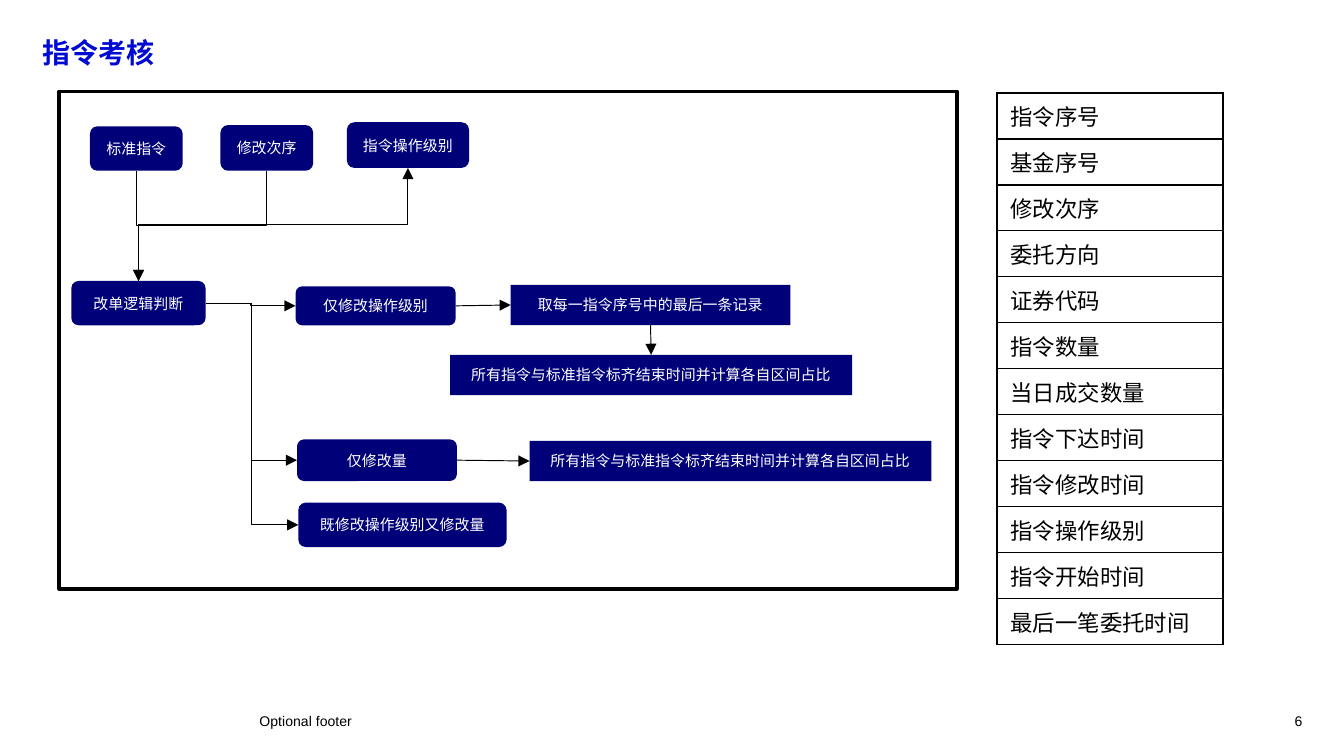
from lxml import etree
from pptx import Presentation
from pptx.dml.color import RGBColor
from pptx.enum.shapes import MSO_CONNECTOR, MSO_SHAPE
from pptx.enum.text import MSO_ANCHOR, MSO_AUTO_SIZE, PP_ALIGN
from pptx.oxml import parse_xml
from pptx.oxml.ns import nsdecls, qn
from pptx.util import Pt

WHITE = RGBColor(0xFF, 0xFF, 0xFF)
BLACK = RGBColor(0, 0, 0)
NAVY = RGBColor(0x00, 0x00, 0x78)
TITLE_BLUE = RGBColor(0x00, 0x0A, 0xD2)

FONT = "Arial"
RECTANGLE, ROUNDED = MSO_SHAPE.RECTANGLE, MSO_SHAPE.ROUNDED_RECTANGLE
STRAIGHT, ELBOW = MSO_CONNECTOR.STRAIGHT, MSO_CONNECTOR.ELBOW
LEFT, CENTER, RIGHT = PP_ALIGN.LEFT, PP_ALIGN.CENTER, PP_ALIGN.RIGHT
TOP, MIDDLE = MSO_ANCHOR.TOP, MSO_ANCHOR.MIDDLE
NO_AUTOFIT = MSO_AUTO_SIZE.NONE
TITLE_ONLY = 5
SIDE_TOP, SIDE_LEFT, SIDE_BOTTOM, SIDE_RIGHT = range(4)

ALIGN_TEXT = "所有指令与标准指令标齐结束时间并计算各自区间占比"
# name: (preset, text, left, top, width, height), relative to the frame
STEPS = {
    "sequence": (ROUNDED, "修改次序", 86.4, 18, 49.7, 24.5),
    "standard": (ROUNDED, "标准指令", 16.5, 18.7, 49.7, 23.8),
    "logic": (ROUNDED, "改单逻辑判断", 6.5, 101.5, 72, 23.8),
    "level": (ROUNDED, "指令操作级别", 154.1, 16.5, 65.5, 24.5),
    "level_only": (ROUNDED, "仅修改操作级别", 126.7, 104.4, 85.7, 20.9),
    "amount_only": (ROUNDED, "仅修改量", 127.4, 186.4, 85.7, 22.3),
    "both": (ROUNDED, "既修改操作级别又修改量", 128.1, 220.3, 111.6, 23.8),
    "last_record": (RECTANGLE, "取每一指令序号中的最后一条记录", 241.9, 103.6, 149.8, 21.6),
    "level_share": (RECTANGLE, ALIGN_TEXT, 209.5, 141.1, 215.3, 21.6),
    "amount_share": (RECTANGLE, ALIGN_TEXT, 252, 187.2, 215.3, 21.6),
}
VERTICAL_ELBOWS = [("standard", "logic"), ("sequence", "logic"), ("logic", "level")]
HORIZONTAL_ELBOWS = [("logic", "level_only"), ("logic", "amount_only"), ("logic", "both")]
STRAIGHT_ARROWS = [
    ("level_only", SIDE_RIGHT, "last_record", SIDE_LEFT),
    ("last_record", SIDE_BOTTOM, "level_share", SIDE_TOP),
    ("amount_only", SIDE_RIGHT, "amount_share", SIDE_LEFT),
]
FIELDS = ["指令序号", "基金序号", "修改次序", "委托方向", "证券代码", "指令数量",
          "当日成交数量", "指令下达时间", "指令修改时间", "指令操作级别",
          "指令开始时间", "最后一笔委托时间"]


def write_text(text_frame, text, size, color=BLACK, bold=False, align=LEFT,
               anchor=TOP, margin=None, line_spacing=None):
    text_frame.word_wrap = True
    text_frame.auto_size = NO_AUTOFIT
    text_frame.vertical_anchor = anchor
    if margin is not None:
        text_frame.margin_left = text_frame.margin_right = Pt(margin)
        text_frame.margin_top = text_frame.margin_bottom = Pt(margin)
    paragraph = text_frame.paragraphs[0]
    paragraph.alignment = align
    if line_spacing:
        paragraph.line_spacing = line_spacing
    run = paragraph.add_run()
    run.text = text
    run.font.name, run.font.size, run.font.bold = FONT, Pt(size), bold
    run.font.color.rgb = color


def add_box(slide, preset, left, top, width, height, fill):
    shape = slide.shapes.add_shape(preset, Pt(left), Pt(top), Pt(width), Pt(height))
    shape.shadow.inherit = False
    shape.fill.solid()
    shape.fill.fore_color.rgb = fill
    shape.line.fill.background()
    return shape


def add_arrow(slide, kind, begin, end):
    connector = slide.shapes.add_connector(kind, *map(int, begin + end))
    connector.line.color.rgb = BLACK
    connector.line.width = Pt(0.5)
    etree.SubElement(connector.line._get_or_add_ln(), qn("a:tailEnd"), type="triangle")
    etree.SubElement(connector._element.spPr, qn("a:effectLst"))
    return connector


def side_point(shape, side):
    middle_x = shape.left + shape.width / 2
    middle_y = shape.top + shape.height / 2
    return {SIDE_TOP: (middle_x, shape.top),
            SIDE_LEFT: (shape.left, middle_y),
            SIDE_BOTTOM: (middle_x, shape.top + shape.height),
            SIDE_RIGHT: (shape.left + shape.width, middle_y)}[side]


def add_vertical_elbow(slide, begin, end):
    """Lay the elbow on its side about its centre, then turn it a quarter."""
    center_x, center_y = (begin[0] + end[0]) / 2, (begin[1] + end[1]) / 2
    downward = end[1] > begin[1]
    half_length = abs(end[1] - begin[1]) / 2
    half_shift = (end[0] - begin[0]) / 2 * (-1 if downward else 1)
    connector = add_arrow(slide, ELBOW,
                          (center_x - half_length, center_y - half_shift),
                          (center_x + half_length, center_y + half_shift))
    connector._element.spPr.get_or_add_xfrm().rot = 90 if downward else 270


def add_flowchart(slide, left, top, width, height):
    frame = add_box(slide, RECTANGLE, left, top, width, height, WHITE)
    frame.line.color.rgb = BLACK
    frame.line.width = Pt(2)

    # Steps
    steps = {}
    for name, (preset, text, x, y, step_width, step_height) in STEPS.items():
        steps[name] = add_box(slide, preset, left + x, top + y,
                              step_width, step_height, NAVY)
        write_text(steps[name].text_frame, text, 8, color=WHITE,
                   align=CENTER, anchor=MIDDLE)

    # Arrows
    for source, target in VERTICAL_ELBOWS:
        downward = steps[target].top > steps[source].top
        sides = (SIDE_BOTTOM, SIDE_TOP) if downward else (SIDE_TOP, SIDE_BOTTOM)
        add_vertical_elbow(slide, side_point(steps[source], sides[0]),
                           side_point(steps[target], sides[1]))
    for source, target in HORIZONTAL_ELBOWS:
        add_arrow(slide, ELBOW, side_point(steps[source], SIDE_RIGHT),
                  side_point(steps[target], SIDE_LEFT))
    for source, source_side, target, target_side in STRAIGHT_ARROWS:
        connector = add_arrow(slide, STRAIGHT, side_point(steps[source], source_side),
                              side_point(steps[target], target_side))
        connector.begin_connect(steps[source], source_side)
        connector.end_connect(steps[target], target_side)


def set_borders(cell):
    properties = cell._tc.get_or_add_tcPr()
    for index, tag in enumerate(("lnL", "lnR", "lnT", "lnB")):
        properties.insert(index, parse_xml(
            f'<a:{tag} {nsdecls("a")} w="{Pt(1)}"><a:solidFill>'
            f'<a:srgbClr val="{BLACK}"/></a:solidFill></a:{tag}>'))


def add_field_table(slide, left, top, width, height):
    table = slide.shapes.add_table(len(FIELDS), 1, Pt(left), Pt(top),
                                   Pt(width), Pt(height)).table
    table.first_row = table.horz_banding = False
    for row, field in enumerate(FIELDS):
        cell = table.cell(row, 0)
        cell.fill.background()
        set_borders(cell)
        write_text(cell.text_frame, field, 12)


def add_title(slide, left, top, width, height):
    title = slide.shapes.title
    title.left, title.top, title.width, title.height = map(Pt, (left, top, width, height))
    write_text(title.text_frame, "指令考核", 15, color=TITLE_BLUE, bold=True,
               margin=0, line_spacing=0.9)


def add_footer(slide, left, top, width, height):
    number_width = 28
    for text, x, box_width, align in (
            ("Optional footer", left, 255, LEFT),
            ("6", left + width - number_width, number_width, RIGHT)):
        text_box = slide.shapes.add_textbox(Pt(x), Pt(top), Pt(box_width), Pt(height))
        write_text(text_box.text_frame, text, 7.5, align=align, margin=0)


def main():
    presentation = Presentation()
    presentation.slide_width, presentation.slide_height = Pt(720), Pt(405)
    slide = presentation.slides.add_slide(presentation.slide_layouts[TITLE_ONLY])
    add_title(slide, 23, 20.9, 674.6, 29.5)
    add_flowchart(slide, 31.7, 49, 481, 266.4)
    add_field_table(slide, 534.2, 49.7, 121, 265.7)
    add_footer(slide, 139, 381.6, 558.7, 10.8)
    presentation.save("out.pptx")


if __name__ == "__main__":
    main()
